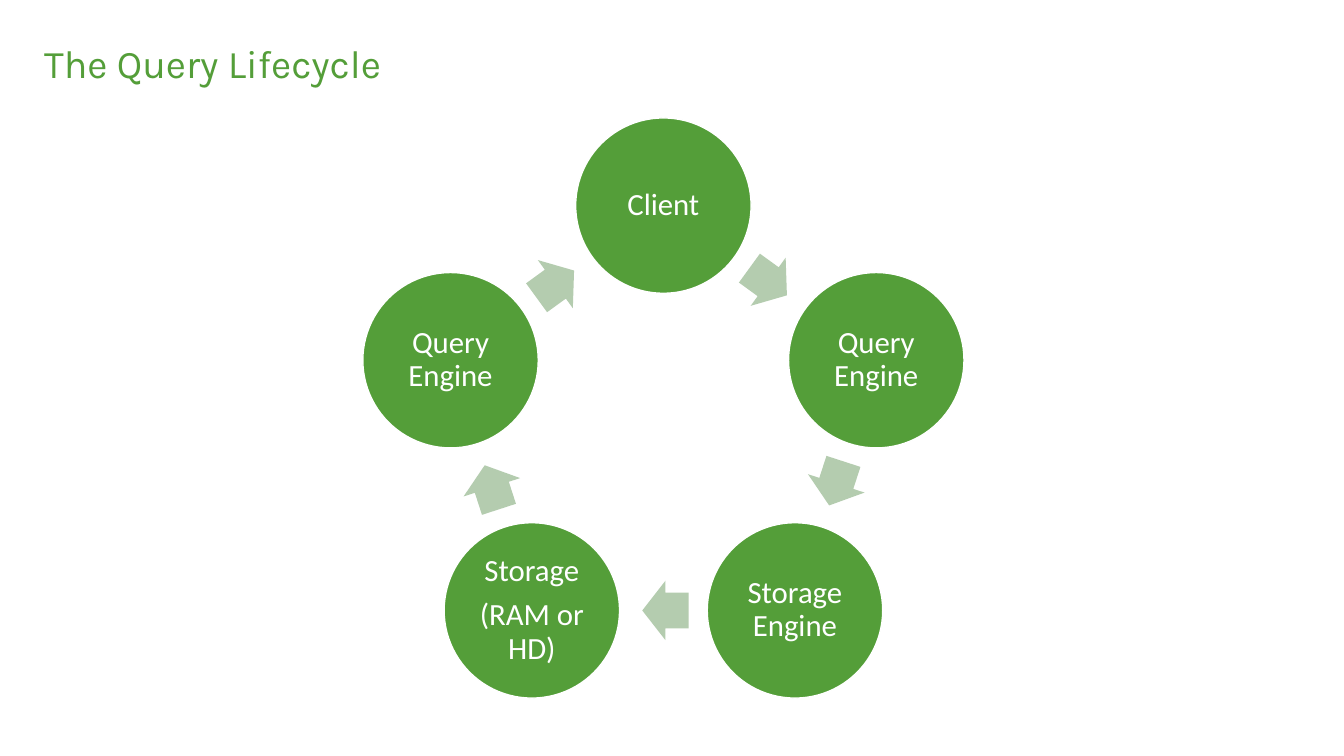
from dataclasses import dataclass
from math import cos, pi, sin

from pptx import Presentation
from pptx.dml.color import RGBColor
from pptx.enum.shapes import MSO_SHAPE
from pptx.enum.text import MSO_ANCHOR, PP_ALIGN
from pptx.util import Inches, Pt

CIRCLE, ARROW = MSO_SHAPE.OVAL, MSO_SHAPE.RIGHT_ARROW
MIDDLE, CENTER = MSO_ANCHOR.MIDDLE, PP_ALIGN.CENTER


@dataclass(frozen=True)
class Theme:
    green: RGBColor = RGBColor(0x54, 0x9E, 0x39)
    pale_green: RGBColor = RGBColor(0xB4, 0xCC, 0xAF)
    white: RGBColor = RGBColor(0xFF, 0xFF, 0xFF)
    title_font: str = "Karla"
    stage_font: str = "Calibri"
    title_size: Pt = Pt(28)
    stage_size: Pt = Pt(22)
    stage_gap: Pt = Pt(7.7)
    outline: Pt = Pt(1)


THEME = Theme()
STAGES = [
    ["Client"],
    ["Query Engine"],
    ["Storage Engine"],
    ["Storage", "(RAM or HD)"],
    ["Query Engine"],
]
STEP = 360 / len(STAGES)
RING_X, RING_Y, RING_RADIUS = 6.58, 4.26, 2.22
STAGE_SIZE = 1.74
ARROW_LENGTH, ARROW_WIDTH = 0.46, 0.59
ARROW_SETBACK = 0.02


def write_lines(frame, lines, margin, font_format, **paragraph_format):
    frame.word_wrap = True
    frame.vertical_anchor = MIDDLE
    for side in ("left", "right", "top", "bottom"):
        setattr(frame, f"margin_{side}", Inches(margin))
    for index, line in enumerate(lines):
        paragraph = frame.add_paragraph() if index else frame.paragraphs[0]
        paragraph.line_spacing = 0.9
        for name, value in paragraph_format.items():
            setattr(paragraph, name, value)
        run = paragraph.add_run()
        run.text = line
        color = font_format["color"]
        run.font.color.rgb = color
        for name in ("name", "size"):
            setattr(run.font, name, font_format[name])


def add_title(slide, title):
    box = slide.shapes.add_textbox(
        Inches(0.34), Inches(0.25), Inches(11.5), Inches(0.8))
    font_format = {"name": THEME.title_font, "size": THEME.title_size,
                   "color": THEME.green}
    write_lines(box.text_frame, [title], 0.1, font_format)


def add_centered_shape(slide, kind, center, width, height, fill):
    x, y = center
    shape = slide.shapes.add_shape(
        kind, Inches(x - width / 2), Inches(y - height / 2),
        Inches(width), Inches(height))
    shape.shadow.inherit = False
    shape.fill.solid()
    shape.fill.fore_color.rgb = fill
    return shape


def add_stage(slide, center, lines):
    circle = add_centered_shape(
        slide, CIRCLE, center, STAGE_SIZE, STAGE_SIZE, THEME.green)
    circle.line.color.rgb = THEME.white
    circle.line.width = THEME.outline
    font_format = {"name": THEME.stage_font, "size": THEME.stage_size,
                   "color": THEME.white}
    write_lines(circle.text_frame, lines, 0.03, font_format,
                alignment=CENTER, space_after=THEME.stage_gap)


def add_arrow(slide, start, end, rotation):
    """Place an arrow just before the midpoint between two stages."""
    angle = rotation * pi / 180
    center = ((start[0] + end[0]) / 2 - ARROW_SETBACK * cos(angle),
              (start[1] + end[1]) / 2 - ARROW_SETBACK * sin(angle))
    arrow = add_centered_shape(
        slide, ARROW, center, ARROW_LENGTH, ARROW_WIDTH, THEME.pale_green)
    arrow.line.fill.background()
    arrow.adjustments[0] = 0.6
    arrow.adjustments[1] = 0.5
    arrow.rotation = rotation


def stage_center(index):
    """Return a point on the ring, clockwise from the top."""
    angle = index * STEP * pi / 180
    return (RING_X + RING_RADIUS * sin(angle),
            RING_Y - RING_RADIUS * cos(angle))


def main():
    presentation = Presentation()
    presentation.slide_width = Inches(13.33)
    presentation.slide_height = Inches(7.5)
    slide = presentation.slides.add_slide(presentation.slide_layouts[6])
    add_title(slide, "The Query Lifecycle")
    for index, lines in enumerate(STAGES):
        center = stage_center(index)
        add_stage(slide, center, lines)
        add_arrow(slide, center, stage_center(index + 1), (index + 0.5) * STEP)
    presentation.save("out.pptx")


if __name__ == "__main__":
    main()
